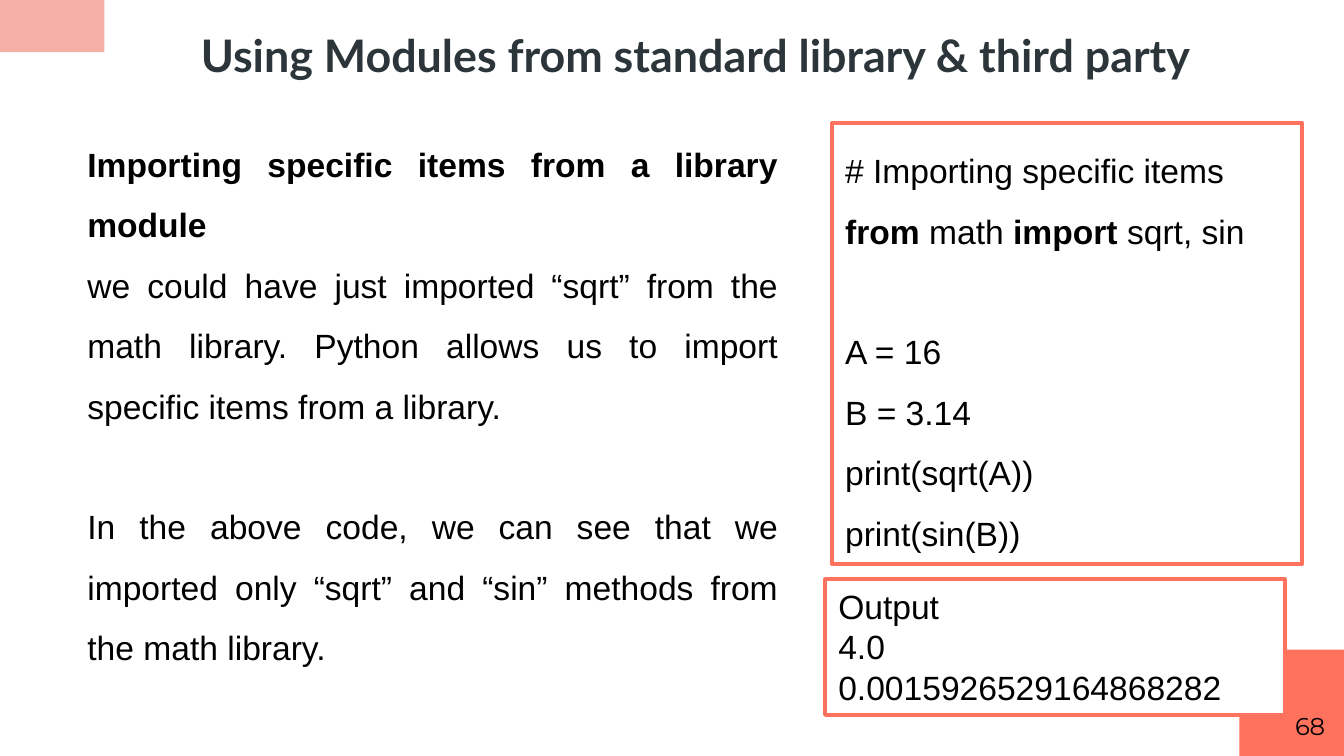
from dataclasses import dataclass

from lxml.etree import SubElement
from pptx import Presentation
from pptx.dml.color import RGBColor
from pptx.enum.shapes import MSO_SHAPE as Preset
from pptx.enum.text import MSO_ANCHOR as Anchor, MSO_AUTO_SIZE as AutoSize, PP_ALIGN as Align
from pptx.oxml.ns import qn
from pptx.shapes.autoshape import Shape
from pptx.slide import Slide
from pptx.text.text import TextFrame
from pptx.util import Pt

COLORS = {
    "background": "FFFFFF",
    "accent": "FF725E",
    "pale": "F6B1A7",
    "heading": "2C363A",
    "text": "000000",
}
LINE_GAP = 32.3


@dataclass(frozen=True)
class Box:
    left: float
    top: float
    width: float
    height: float


@dataclass(frozen=True)
class Run:
    text: str
    bold: bool = False


@dataclass(frozen=True)
class Line:
    runs: tuple[Run, ...]
    before: float = 0


@dataclass(frozen=True)
class Style:
    size: float = 18
    font: str = "Arial"
    color: str = "text"
    align: Align = Align.JUSTIFY
    spacing: float = 1.5


@dataclass(frozen=True)
class Panel:
    box: Box
    lines: tuple[Line, ...]
    style: Style


def plain(text: str, before: float = 0) -> Line:
    return Line((Run(text),), before)


def rgb(name: str) -> RGBColor:
    return RGBColor.from_string(COLORS[name])


def place(shape: Shape, box: Box) -> None:
    shape.left, shape.top = Pt(box.left), Pt(box.top)
    shape.width, shape.height = Pt(box.width), Pt(box.height)


def set_up_frame(frame: TextFrame, anchor: Anchor, horizontal: float, vertical: float) -> None:
    frame.word_wrap = True
    frame.auto_size = AutoSize.NONE
    frame.vertical_anchor = anchor
    frame.margin_left = frame.margin_right = Pt(horizontal)
    frame.margin_top = frame.margin_bottom = Pt(vertical)


def write(frame: TextFrame, lines: tuple[Line, ...], style: Style) -> None:
    for index, line in enumerate(lines):
        paragraph = frame.add_paragraph() if index else frame.paragraphs[0]
        paragraph.alignment = style.align
        paragraph.line_spacing = style.spacing
        paragraph.space_before = Pt(line.before)
        paragraph.space_after = Pt(0)
        for part in line.runs:
            run = paragraph.add_run()
            run.text = part.text
            run.font.name = style.font
            run.font.size = Pt(style.size)
            run.font.bold = part.bold
            run.font.color.rgb = rgb(style.color)


def remove_bullets(frame: TextFrame) -> None:
    for paragraph in frame.paragraphs:
        properties = paragraph._p.get_or_add_pPr()
        properties.set("marL", "0")
        properties.set("indent", "0")
        SubElement(properties, qn("a:buNone"))


def add_rectangle(slide: Slide, box: Box, fill: str) -> Shape:
    shape = slide.shapes.add_shape(
        Preset.RECTANGLE, Pt(box.left), Pt(box.top), Pt(box.width), Pt(box.height)
    )
    shape.shadow.inherit = False
    shape.fill.solid()
    shape.fill.fore_color.rgb = rgb(fill)
    shape.line.fill.background()
    return shape


def add_panel(slide: Slide, panel: Panel) -> None:
    shape = add_rectangle(slide, panel.box, "background")
    shape.line.color.rgb = rgb("accent")
    shape.line.width = Pt(2)
    set_up_frame(shape.text_frame, Anchor.TOP, 7.2, 3.6)
    write(shape.text_frame, panel.lines, panel.style)


TITLE = (Line((Run("Using Modules from standard library & third party", True),)),)
EXPLANATION = (
    Line((Run("Importing specific items from a library module", True),)),
    plain(
        "we could have just imported “sqrt” from the math library. "
        "Python allows us to import specific items from a library."
    ),
    plain(
        "In the above code, we can see that we imported only “sqrt” and “sin” "
        "methods from the math library.",
        LINE_GAP,
    ),
)
PANELS = (
    Panel(
        Box(442, 310.3, 246.3, 72.7),
        (plain("Output"), plain("4.0"), plain("0.0015926529164868282")),
        Style(align=Align.LEFT, spacing=1),
    ),
    Panel(
        Box(445.7, 66, 252, 236.2),
        (
            plain("# Importing specific items"),
            Line((Run("from", True), Run(" math "), Run("import ", True), Run("sqrt, sin"))),
            plain("A = 16", LINE_GAP),
            plain("B = 3.14"),
            plain("print(sqrt(A))"),
            plain("print(sin(B))"),
        ),
        Style(),
    ),
)


def main() -> None:
    presentation = Presentation()
    presentation.slide_width, presentation.slide_height = Pt(720), Pt(405)
    slide = presentation.slides.add_slide(presentation.slide_layouts[1])
    slide.background.fill.solid()
    slide.background.fill.fore_color.rgb = rgb("background")

    title, body = slide.shapes.title, slide.placeholders[1]
    place(title, Box(56.9, -7.2, 631.4, 73.4))
    set_up_frame(title.text_frame, Anchor.MIDDLE, 7.2, 7.2)
    write(title.text_frame, TITLE, Style(24, "Lato", "heading", Align.CENTER, 1))

    place(body, Box(39.6, 62.6, 384.5, 301.7))
    set_up_frame(body.text_frame, Anchor.TOP, 7.2, 3.6)
    write(body.text_frame, EXPLANATION, Style())
    remove_bullets(body.text_frame)

    add_rectangle(slide, Box(0, 0, 56, 28), "pale")
    add_rectangle(slide, Box(664, 348, 56, 57), "accent")
    number = slide.shapes.add_textbox(Pt(674), Pt(373.7), Pt(43), Pt(31))
    set_up_frame(number.text_frame, Anchor.TOP, 7.2, 7.2)
    write(number.text_frame, (plain("68"),), Style(13, "Montserrat", align=Align.RIGHT, spacing=1))
    for panel in PANELS:
        add_panel(slide, panel)
    presentation.save("out.pptx")


if __name__ == "__main__":
    main()
